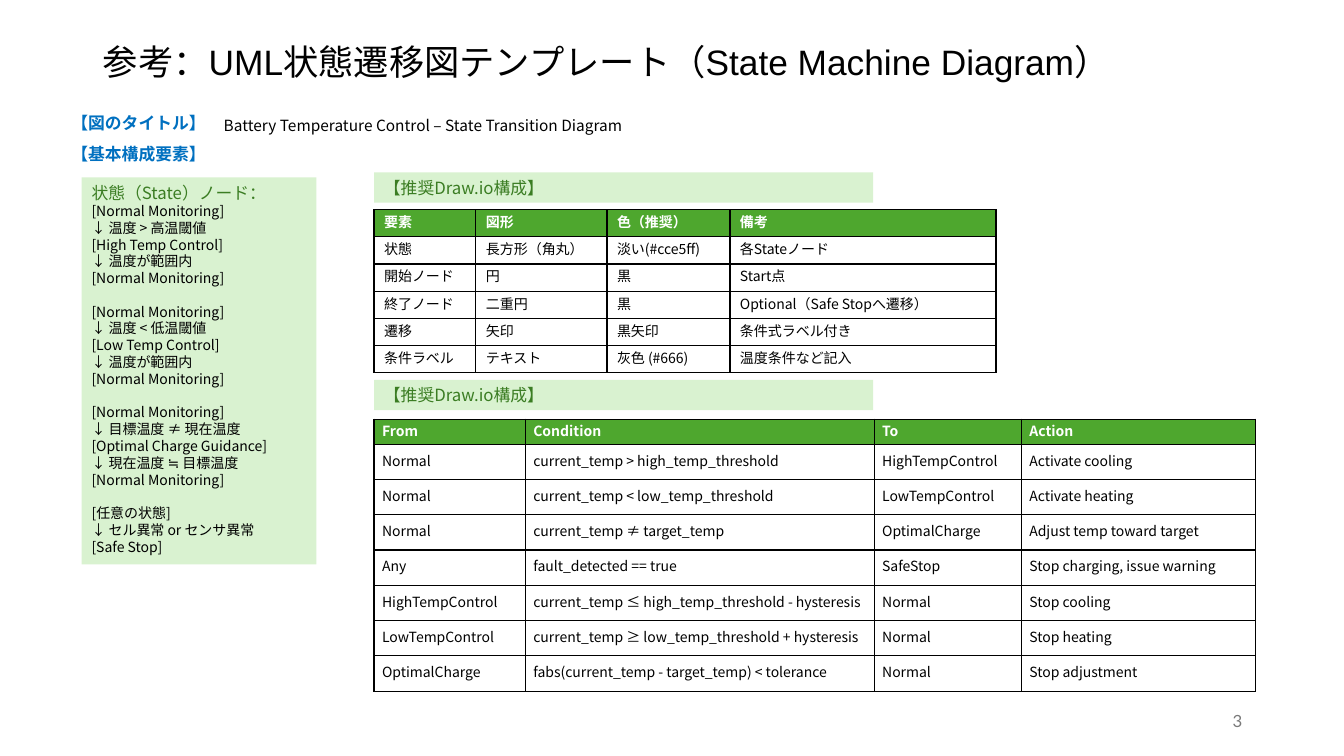
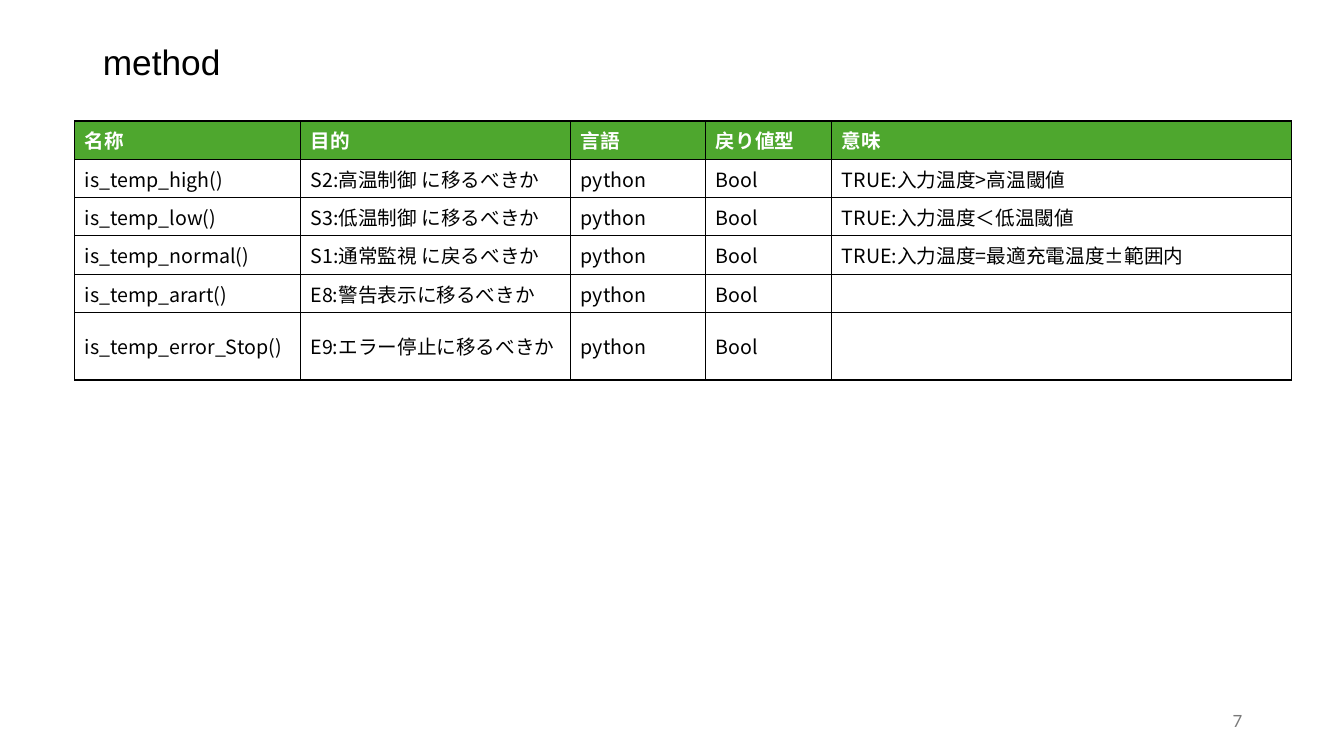
from lxml.etree import SubElement
from pptx import Presentation
from pptx.dml.color import RGBColor
from pptx.enum.shapes import MSO_SHAPE
from pptx.enum.text import MSO_ANCHOR, MSO_AUTO_SIZE, PP_ALIGN
from pptx.oxml.ns import qn
from pptx.util import Inches, Pt

COLORS = {
    "black": "000000",
    "white": "FFFFFF",
    "blue": "0070C0",
    "gray": "797979",
    "header": "4EA72E",
    "panel": "D9F2D0",
    "panel_text": "3B7D23",
}
BODY_FONT = "Noto Sans CJK JP"
TIGHT = 1.2  # line height as a multiple of the text size

TITLE_STYLE = {"size": Pt(25.2), "name": "Arial", "bold": False}
PANEL_STYLE = {"size": Pt(12), "name": BODY_FONT, "bold": False}
HEADING_STYLE = {"size": Pt(12), "name": BODY_FONT, "bold": True}
CAPTION_STYLE = {"size": Pt(11), "name": BODY_FONT, "bold": False}
STATE_STYLE = {"size": Pt(10), "name": BODY_FONT, "bold": False}
NUMBER_STYLE = {"size": Pt(12), "name": "Lato", "bold": False}

DIAGRAM_LEFT = 3.71
PANEL_HEIGHT = 0.3


def write(paragraph, text, style, color, spacing=None):
    """Fill a paragraph with one run, in the same font for Latin and Japanese."""
    if spacing:
        paragraph.line_spacing = Pt(style["size"].pt * spacing)
    if not text:
        end = SubElement(paragraph._p, qn("a:endParaRPr"))
        end.set("sz", str(int(style["size"].pt * 100)))
        return
    run = paragraph.add_run()
    run.text = text
    for name, value in style.items():
        setattr(run.font, name, value)
    run.font.color.rgb = RGBColor.from_string(COLORS[color])
    SubElement(run.font._element, qn("a:ea")).set("typeface", BODY_FONT)


def add_bordered_table(slide, left, top, widths, heights, rows, size,
                       spacing=None, margins=None):
    """Add a table with a green header row and thin black borders."""
    frame = slide.shapes.add_table(
        len(rows), len(widths), Inches(left), Inches(top),
        Inches(sum(widths)), Inches(sum(heights)))
    table = frame.table
    table.first_row = table.horz_banding = False
    for column, width in zip(table.columns, widths):
        column.width = Inches(width)
    for row, height in zip(table.rows, heights):
        row.height = Inches(height)
    for row_index, texts in enumerate(rows):
        is_header = row_index == 0
        style = {"size": Pt(size), "name": BODY_FONT, "bold": is_header}
        for column_index, text in enumerate(texts):
            cell = table.cell(row_index, column_index)
            cell.vertical_anchor = MSO_ANCHOR.MIDDLE
            for side, margin in (margins or {}).items():
                setattr(cell, side, Inches(margin))
            properties = cell._tc.get_or_add_tcPr()
            for edge in ("a:lnL", "a:lnR", "a:lnT", "a:lnB"):
                line = SubElement(properties, qn(edge), w=str(Pt(1)))
                fill = SubElement(line, qn("a:solidFill"))
                SubElement(fill, qn("a:srgbClr"), val=COLORS["black"])
            if is_header:
                cell.fill.solid()
                cell.fill.fore_color.rgb = RGBColor.from_string(COLORS["header"])
            else:
                cell.fill.background()
            write(cell.text_frame.paragraphs[0], text, style,
                  "white" if is_header else "black", spacing)


presentation = Presentation()
presentation.slide_width = Inches(13.33)
presentation.slide_height = Inches(7.5)
title_only = presentation.slide_layouts[5]

# Title and page number of each slide
slides = []
for title_text, number in (
    ("参考：UML状態遷移図テンプレート（State Machine Diagram）", "3"),
    ("method", "7"),
):
    slide = presentation.slides.add_slide(title_only)
    slides.append(slide)
    title = slide.shapes.title
    title.left, title.top = Inches(0.92), Inches(0.4)
    title.width, title.height = Inches(11.5), Inches(0.47)
    title.text_frame.auto_size = MSO_AUTO_SIZE.NONE
    title.text_frame.vertical_anchor = MSO_ANCHOR.MIDDLE
    paragraph = title.text_frame.paragraphs[0]
    paragraph.alignment = PP_ALIGN.LEFT
    paragraph.line_spacing = 0.9
    write(paragraph, title_text, TITLE_STYLE, "black")

    number_box = slide.shapes.add_textbox(
        Inches(9.42), Inches(6.95), Inches(3), Inches(0.4))
    number_box.text_frame.word_wrap = True
    number_box.text_frame.vertical_anchor = MSO_ANCHOR.MIDDLE
    paragraph = number_box.text_frame.paragraphs[0]
    paragraph.alignment = PP_ALIGN.RIGHT
    write(paragraph, number, NUMBER_STYLE, "gray")

diagram_slide, method_slide = slides

# Headings of the diagram slide
for text, left, top, width, style, color in (
    ("【図のタイトル】", 0.61, 1.07, 1.74, HEADING_STYLE, "blue"),
    ("【基本構成要素】", 0.61, 1.38, 1.74, HEADING_STYLE, "blue"),
    ("Battery Temperature Control – State Transition Diagram",
     2.12, 1.1, 4.49, CAPTION_STYLE, "black"),
):
    heading = diagram_slide.shapes.add_textbox(
        Inches(left), Inches(top), Inches(width), Inches(PANEL_HEIGHT))
    heading.text_frame.word_wrap = True
    write(heading.text_frame.paragraphs[0], text, style, color, TIGHT)

# Green panels: the state list and the label above each table
state_groups = [
    ["[Normal Monitoring]", "↓ 温度 > 高温閾値", "[High Temp Control]",
     "↓ 温度が範囲内", "[Normal Monitoring]"],
    ["[Normal Monitoring]", "↓ 温度 < 低温閾値", "[Low Temp Control]",
     "↓ 温度が範囲内", "[Normal Monitoring]"],
    ["[Normal Monitoring]", "↓ 目標温度 ≠ 現在温度",
     "[Optimal Charge Guidance]", "↓ 現在温度 ≒ 目標温度",
     "[Normal Monitoring]"],
    ["[任意の状態]", "↓ セル異常 or センサ異常", "[Safe Stop]"],
]
for text, left, top, width, height, groups in (
    ("状態（State）ノード：", 0.81, 1.76, 2.33, 3.84, state_groups),
    ("【推奨Draw.io構成】", DIAGRAM_LEFT, 1.71, 4.95, PANEL_HEIGHT, []),
    ("【推奨Draw.io構成】", DIAGRAM_LEFT, 3.77, 4.95, PANEL_HEIGHT, []),
):
    panel = diagram_slide.shapes.add_shape(
        MSO_SHAPE.RECTANGLE, Inches(left), Inches(top),
        Inches(width), Inches(height))
    panel.shadow.inherit = False
    panel.fill.solid()
    panel.fill.fore_color.rgb = RGBColor.from_string(COLORS["panel"])
    panel.line.fill.background()
    text_frame = panel.text_frame
    text_frame.word_wrap = True
    text_frame.vertical_anchor = MSO_ANCHOR.TOP
    paragraph = text_frame.paragraphs[0]
    paragraph.alignment = PP_ALIGN.LEFT
    write(paragraph, text, PANEL_STYLE, "panel_text", TIGHT)
    for group_index, group in enumerate(groups):
        for line_index, state_line in enumerate(group):
            paragraph = text_frame.add_paragraph()
            paragraph.alignment = PP_ALIGN.LEFT
            if group_index and line_index == 0:
                paragraph.space_before = Pt(12)
            write(paragraph, state_line, STATE_STYLE, "black", TIGHT)

add_bordered_table(
    diagram_slide, DIAGRAM_LEFT, 2.08, [1.01, 1.3, 1.22, 2.64], [0.27] * 6,
    [
        ["要素", "図形", "色（推奨）", "備考"],
        ["状態", "長方形（角丸）", "淡い(#cce5ff)", "各Stateノード"],
        ["開始ノード", "円", "黒", "Start点"],
        ["終了ノード", "二重円", "黒", "Optional（Safe Stopへ遷移）"],
        ["遷移", "矢印", "黒矢印", "条件式ラベル付き"],
        ["条件ラベル", "テキスト", "灰色 (#666)", "温度条件など記入"],
    ],
    size=10, spacing=TIGHT)

add_bordered_table(
    diagram_slide, DIAGRAM_LEFT, 4.16, [1.5, 3.46, 1.46, 2.32],
    [0.24] + [0.35] * 7,
    [
        ["From", "Condition", "To", "Action"],
        ["Normal", "current_temp > high_temp_threshold",
         "HighTempControl", "Activate cooling"],
        ["Normal", "current_temp < low_temp_threshold",
         "LowTempControl", "Activate heating"],
        ["Normal", "current_temp ≠ target_temp",
         "OptimalCharge", "Adjust temp toward target"],
        ["Any", "fault_detected == true",
         "SafeStop", "Stop charging, issue warning"],
        ["HighTempControl", "current_temp ≤ high_temp_threshold - hysteresis",
         "Normal", "Stop cooling"],
        ["LowTempControl", "current_temp ≥ low_temp_threshold + hysteresis",
         "Normal", "Stop heating"],
        ["OptimalCharge", "fabs(current_temp - target_temp) < tolerance",
         "Normal", "Stop adjustment"],
    ],
    size=10, spacing=TIGHT,
    margins={"margin_left": 0.08, "margin_right": 0.08,
             "margin_top": 0.04, "margin_bottom": 0.04})

add_bordered_table(
    method_slide, 0.74, 1.2, [2.24, 2.68, 1.34, 1.25, 4.56],
    [0.38] * 5 + [0.67],
    [
        ["名称", "目的", "言語", "戻り値型", "意味"],
        ["is_temp_high()", "S2:高温制御 に移るべきか", "python", "Bool",
         "TRUE:入力温度>高温閾値"],
        ["is_temp_low()", "S3:低温制御 に移るべきか", "python", "Bool",
         "TRUE:入力温度＜低温閾値"],
        ["is_temp_normal()", "S1:通常監視 に戻るべきか", "python", "Bool",
         "TRUE:入力温度=最適充電温度±範囲内"],
        ["is_temp_arart()", "E8:警告表示に移るべきか", "python", "Bool", ""],
        ["is_temp_error_Stop()", "E9:エラー停止に移るべきか", "python", "Bool", ""],
    ],
    size=14)

presentation.save("out.pptx")
